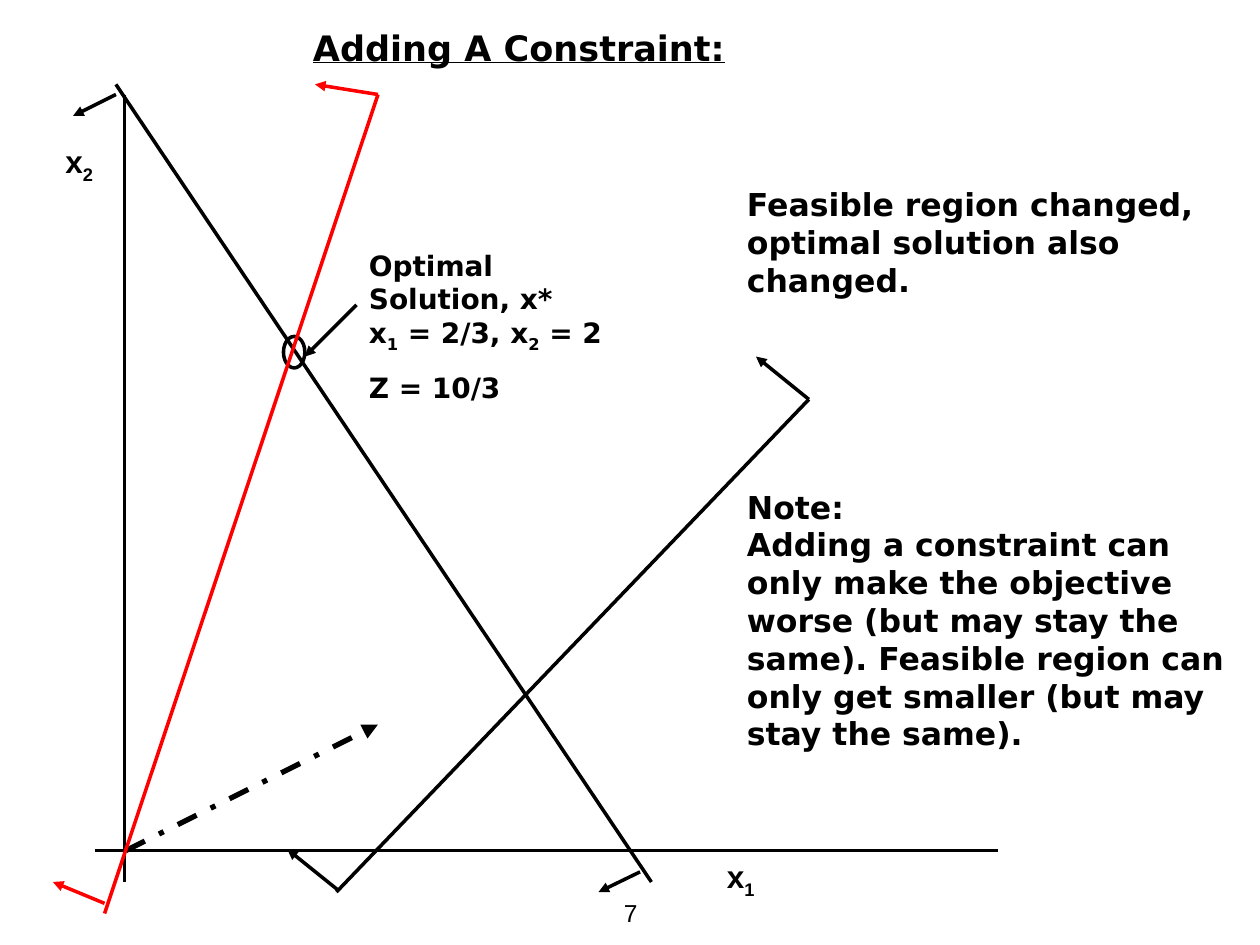
from copy import deepcopy
from dataclasses import dataclass

from lxml import etree
from pptx import Presentation
from pptx.dml.color import RGBColor
from pptx.enum.dml import MSO_LINE
from pptx.enum.shapes import MSO_CONNECTOR, MSO_SHAPE
from pptx.enum.text import PP_ALIGN
from pptx.oxml.ns import qn
from pptx.util import Inches, Pt

STRAIGHT = MSO_CONNECTOR.STRAIGHT
OVAL = MSO_SHAPE.OVAL
DASH = MSO_LINE.DASH_DOT
LEFT, MID = PP_ALIGN.LEFT, PP_ALIGN.CENTER


@dataclass(frozen=True)
class Theme:
    ink: RGBColor = RGBColor(0, 0, 0)
    red: RGBColor = RGBColor(255, 0, 0)
    sans: str = "DejaVu Sans"
    plain: str = "Arial"
    title: int = 20
    body: int = 18
    label: int = 16
    page: int = 14
    thin: int = 2
    thick: int = 3


theme = Theme()
deck = Presentation()
deck.slide_width, deck.slide_height = Inches(10), Inches(7.5)
slide = deck.slides.add_slide(deck.slide_layouts[6])
shapes = slide.shapes


def add_line(start, end, color=theme.ink, width=theme.thin, arrow=False):
    """Draw a straight line, with an arrowhead at its end if asked."""
    line = shapes.add_connector(
        STRAIGHT, *[Inches(v) for v in (*start, *end)])
    line.line.color.rgb = color
    line.line.width = Pt(width)
    if arrow:
        tip = etree.SubElement(line.line._get_or_add_ln(), qn("a:tailEnd"))
        tip.set("type", "triangle")
    etree.SubElement(line._element.spPr, qn("a:effectLst"))
    return line


def add_text(place, paras, size, name=theme.sans, align=LEFT, gap=0, **look):
    """Add a text box; "_" makes the next character a subscript."""
    frame = shapes.add_textbox(*[Inches(v) for v in place]).text_frame
    frame.word_wrap = True
    font_look = {"size": Pt(size), "name": name, "bold": True, **look}
    for i, text in enumerate(paras):
        para = frame.paragraphs[0] if i == 0 else frame.add_paragraph()
        para.alignment = align
        if i:
            para.space_before = Pt(gap)
        for j, row in enumerate(text.split("\n")):
            if j:
                para.add_line_break()
            first, *rest = row.split("_")
            parts = [(first, False)]
            for part in rest:
                parts += [(part[0], True), (part[1:], False)]
            for words, sub in parts:
                if not words:
                    continue
                run = para.add_run()
                run.text = words
                for key, value in font_look.items():
                    setattr(run.font, key, value)
                run.font.color.rgb = theme.ink
                if sub:
                    run._r.get_or_add_rPr().set("baseline", "-25000")
        # Line breaks take the type size of the text around them
        for stop in para._p.findall(qn("a:br")):
            stop.append(deepcopy(para.runs[0]._r.rPr))
    return frame


# Page number
add_text((3.42, 7.08, 3.17, 0.27), ["7"], theme.page, theme.plain, MID,
         bold=False)

# Axes and their names
add_line((0.99, 0.75), (0.99, 7))
add_line((0.75, 6.75), (7.92, 6.75))
add_text((0.42, 1.08, 0.5, 0.4), ["x_2"], theme.body, theme.plain)
add_text((5.67, 6.75, 0.67, 0.4), ["x_1"], theme.body, theme.plain)

# First two constraints, with arrows to the feasible side
add_line((0.92, 0.67), (5.17, 7))
add_line((2.67, 7.08), (6.42, 3.17))
for start, end in (
    ((5.08, 6.92), (4.75, 7.08)),
    ((0.92, 0.75), (0.58, 0.92)),
    ((6.42, 3.17), (6, 2.83)),
    ((2.69, 7.07), (2.28, 6.74)),
):
    add_line(start, end, arrow=True)

# Direction of the objective
goal = add_line((1, 6.75), (3, 5.75), width=theme.thick, arrow=True)
goal.line.dash_style = DASH

# Optimal point and its label
ring = shapes.add_shape(
    OVAL, Inches(2.25), Inches(2.67), Inches(0.17), Inches(0.25))
ring.shadow.inherit = False
ring.fill.background()
ring.line.color.rgb = theme.ink
ring.line.width = Pt(theme.thin)
add_line((2.83, 2.42), (2.42, 2.83), arrow=True)
add_text((2.83, 1.92, 2.5, 1.3),
         ["Optimal\nSolution, x*\nx_1 = 2/3, x_2 = 2", "Z = 10/3"],
         theme.label, gap=10)

# Title, centred left of the slide's middle
title = add_text((0.15, 0.16, 9.67, 0.43), ["Adding A Constraint:"],
                 theme.title, align=MID, underline=True)
title.margin_right = Inches(1.83)

# Added constraint
add_line((3, 0.75), (0.83, 7.25), theme.red)
add_line((0.83, 7.17), (0.42, 7), theme.red, arrow=True)
add_line((3, 0.75), (2.5, 0.67), theme.red, arrow=True)

# Remarks
add_text((5.83, 1.42, 4, 4.61),
         ["Feasible region changed, optimal solution also changed.",
          "Note:\nAdding a constraint can only make the objective worse "
          "(but may stay the same). Feasible region can only get smaller "
          "(but may stay the same)."],
         theme.body, gap=108)

deck.save("out.pptx")
